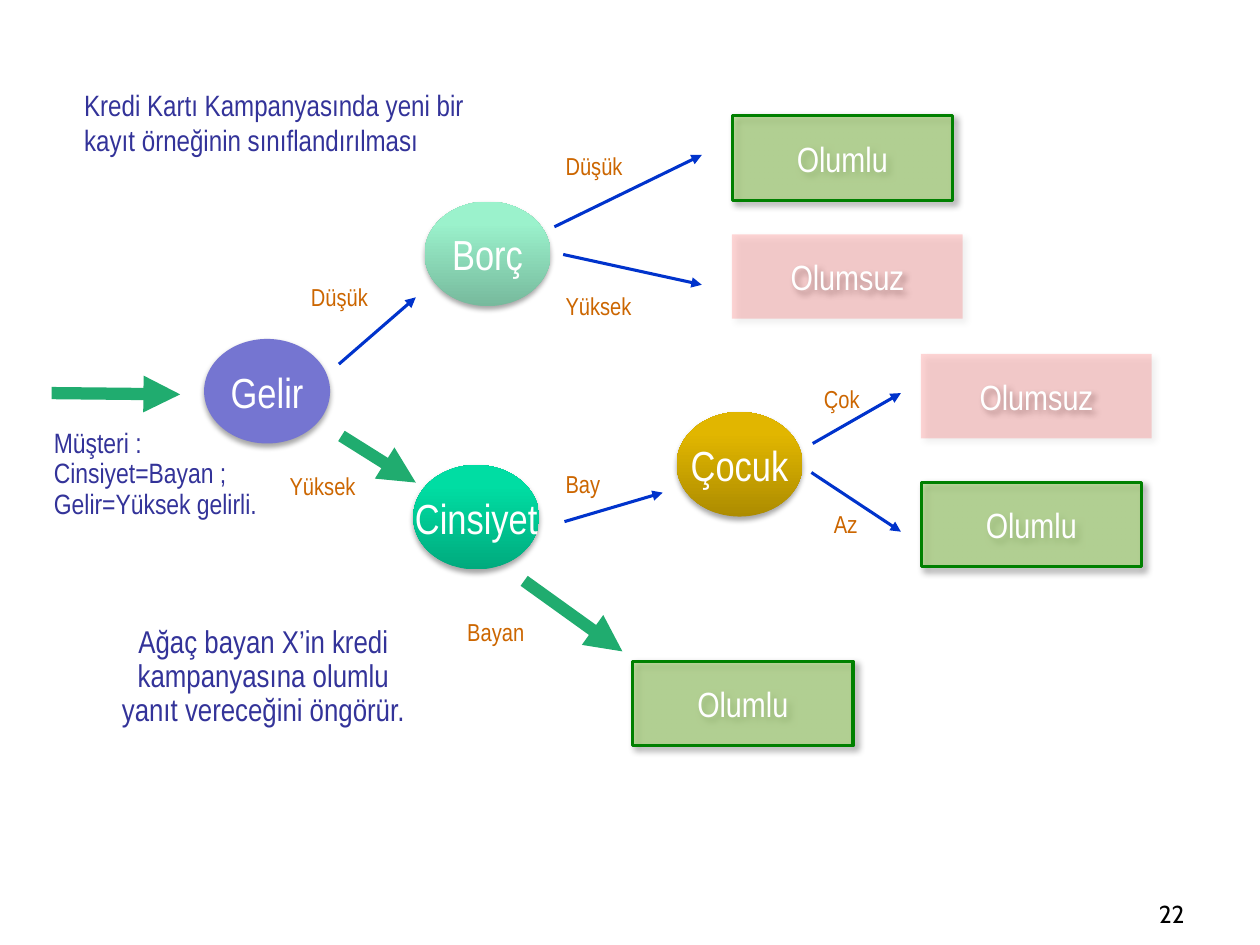
from dataclasses import dataclass

from lxml import etree
from pptx import Presentation
from pptx.dml.color import RGBColor
from pptx.enum import shapes, text
from pptx.oxml.ns import qn
from pptx.util import Inches, Pt


@dataclass(frozen=True)
class Theme:
    """Colours, fonts and type sizes of the slide."""
    font: str = "Arial Narrow"
    num_font: str = "Cabin"
    ink: str = "333399"
    black: str = "000000"
    white: str = "FFFFFF"
    tag: str = "CC6600"
    link: str = "0033CC"
    route: str = "20AC6F"
    good: str = "92D050"
    edge: str = "008000"
    bad: str = "FF0000"
    income: tuple = ("7575D1",)
    debt: tuple = ("77BA9D", "9BF2CC", "9AF4CD")
    gender: tuple = ("00AA7D", "00DDA3", "00DEA4")
    child: tuple = ("AD8C00", "E1B600", "E2B700")
    small: float = 14
    note: float = 16
    title: float = 16.8
    body: float = 18
    leaf: float = 20
    node: float = 24
    thin: float = 1.75
    thick: float = 7


T = Theme()
LEFT, MID, RIGHT = text.PP_ALIGN.LEFT, text.PP_ALIGN.CENTER, text.PP_ALIGN.RIGHT
TOP, CORE, BASE = text.MSO_ANCHOR.TOP, text.MSO_ANCHOR.MIDDLE, text.MSO_ANCHOR.BOTTOM


def add(root, name, **attrs):
    """Append a drawing element and return it."""
    return etree.SubElement(root, qn(f"a:{name}"), {k: str(v) for k, v in attrs.items()})


def write(shape, words, size, color, font=T.font, align=LEFT, anchor=TOP,
          wrap=True, grow=False, space=None, bold=False):
    """Fill a shape with formatted text, one paragraph a line."""
    frame = shape.text_frame
    frame.text = words
    frame.word_wrap = wrap
    frame.vertical_anchor = anchor
    if grow:
        frame.auto_size = text.MSO_AUTO_SIZE.SHAPE_TO_FIT_TEXT
    for para in frame.paragraphs:
        para.alignment = align
        para.line_spacing = space
        para.font.size, para.font.name, para.font.bold = Pt(size), font, bold
        para.font.color.rgb = RGBColor.from_string(color)


def label(slide, words, x, y, w, h, size, color, **style):
    """Add a text box."""
    box = slide.shapes.add_textbox(Inches(x), Inches(y), Inches(w), Inches(h))
    write(box, words, size, color, **style)


def tag(slide, words, x, y, w):
    """Name the value along a branch."""
    label(slide, words, x, y, w, 0.34, T.small, T.tag, wrap=False, grow=True)


def shade(shape, alpha, blur, dist, angle):
    """Give a shape an outer shadow."""
    root = add(shape.element.spPr, "effectLst")
    cast = add(root, "outerShdw", blurRad=Pt(blur), dist=Pt(dist),
               dir=angle * 60000, algn="ctr", rotWithShape=0)
    add(add(cast, "srgbClr", val=T.black), "alpha", val=alpha * 1000)


def node(slide, words, x, y, hues):
    """Add a round test node, plain or graded."""
    oval = slide.shapes.add_shape(shapes.MSO_SHAPE.OVAL, Inches(x), Inches(y),
                                  Inches(1), Inches(0.83))
    if len(hues) == 1:
        oval.fill.solid()
        oval.fill.fore_color.rgb = RGBColor.from_string(hues[0])
    else:
        oval.fill.gradient()
        oval.fill.gradient_angle = 90
        stops = oval.element.spPr.find(".//" + qn("a:gsLst"))
        stops[:] = []
        for place, hue in zip((0, 80, 100), hues):
            add(add(stops, "gs", pos=place * 1000), "srgbClr", val=hue)
    oval.line.fill.background()
    shade(oval, 35, 3.1, 1.8, 90)
    write(oval, words, T.node, T.white, align=MID, anchor=CORE, wrap=False)


def leaf(slide, x, y, good):
    """Add an outcome box."""
    words, wide, hue, alpha = (("Olumlu", 1.75, T.good, 48) if good
                               else ("Olumsuz", 1.83, T.bad, 16))
    box = slide.shapes.add_shape(shapes.MSO_SHAPE.RECTANGLE, Inches(x), Inches(y),
                                 Inches(wide), Inches(0.67))
    box.fill.solid()
    box.fill.fore_color.rgb = RGBColor.from_string(hue)
    add(box.element.spPr.find(".//" + qn("a:srgbClr")), "alpha", val=alpha * 1000)
    if good:
        box.line.color.rgb = RGBColor.from_string(T.edge)
        box.line.width = Pt(T.thin)
    else:
        box.line.fill.background()
    shade(box, 40, 4, 3, 45)
    write(box, words, T.leaf, T.white, align=MID, anchor=CORE, wrap=False)


def arrow(slide, x, y, dx, dy, route=False):
    """Draw an arrow, thick on the route taken."""
    line = slide.shapes.add_connector(shapes.MSO_CONNECTOR.STRAIGHT, Inches(x), Inches(y),
                                      Inches(x + dx), Inches(y + dy))
    line.line.color.rgb = RGBColor.from_string(T.route if route else T.link)
    line.line.width = Pt(T.thick if route else T.thin)
    add(line.line._get_or_add_ln(), "tailEnd", type="triangle")
    add(line.element.spPr, "effectLst")


def income(slide, x, y):
    """Place the root node with its entry and branches."""
    node(slide, "Gelir", x, y, T.income)
    arrow(slide, x - 1.21, y + 0.43, 1.02, 0.01, route=True)
    arrow(slide, x + 1.07, y + 0.2, 0.61, -0.53)
    arrow(slide, x + 1.09, y + 0.77, 0.59, 0.37, route=True)
    tag(slide, "Düşük", x + 0.75, y - 0.5, 0.66)
    tag(slide, "Yüksek", x + 0.58, y + 1, 0.73)


def debt(slide, x, y):
    """Place the debt node with its two outcomes."""
    node(slide, "Borç", x, y, T.debt)
    arrow(slide, x + 1.03, y + 0.2, 1.17, -0.57)
    arrow(slide, x + 1.1, y + 0.42, 1.1, 0.24)
    tag(slide, "Düşük", x + 1.02, y - 0.45, 0.66)
    tag(slide, "Yüksek", x + 1.02, y + 0.66, 0.73)
    leaf(slide, x + 2.44, y - 0.68, True)
    leaf(slide, x + 2.44, y + 0.26, False)


def gender(slide, x, y):
    """Place the gender node with its branches and outcome."""
    node(slide, "Cinsiyet", x, y, T.gender)
    arrow(slide, x + 1.2, y + 0.45, 0.78, -0.23)
    arrow(slide, x + 0.88, y + 0.92, 0.78, 0.56, route=True)
    tag(slide, "Bay", x + 1.11, y - 0.02, 0.48)
    tag(slide, "Bayan", x + 0.33, y + 1.16, 0.66)
    leaf(slide, x + 1.74, y + 1.56, True)


def child(slide, x, y):
    """Place the child node with its two outcomes."""
    node(slide, "Çocuk", x, y, T.child)
    arrow(slide, x + 1.08, y + 0.25, 0.7, -0.4)
    arrow(slide, x + 1.07, y + 0.48, 0.71, 0.47)
    tag(slide, "Çok", x + 1.07, y - 0.27, 0.49)
    tag(slide, "Az", x + 1.15, y + 0.72, 0.39)
    leaf(slide, x + 1.94, y - 0.46, False)
    leaf(slide, x + 1.94, y + 0.56, True)


def notes(slide, x, y):
    """Place the heading, the record, the verdict and the page number."""
    label(slide, "Kredi Kartı Kampanyasında yeni bir kayıt örneğinin sınıflandırılması",
          x + 0.57, y + 0.55, 3.44, 0.75, T.title, T.ink, anchor=BASE)
    label(slide, "Müşteri :\nCinsiyet=Bayan ; Gelir=Yüksek gelirli.",
          x + 0.33, y + 3.36, 2.33, 0.83, T.note, T.ink, grow=True, space=0.9)
    label(slide, "Ağaç bayan X’in kredi kampanyasına olumlu yanıt vereceğini öngörür.",
          x + 0.8, y + 4.92, 2.58, 0.92, T.body, T.ink, align=MID, grow=True, space=0.9)
    label(slide, "22", x + 7.42, y + 6.92, 2.08, 0.5, T.small, T.black,
          font=T.num_font, align=RIGHT, anchor=BASE)


def main():
    """Build and save the slide."""
    deck = Presentation()
    deck.slide_width, deck.slide_height = Inches(10), Inches(7.5)
    slide = deck.slides.add_slide(deck.slide_layouts[6])
    notes(slide, 0, 0)
    income(slide, 1.62, 2.69)
    debt(slide, 3.37, 1.6)
    gender(slide, 3.28, 3.69)
    child(slide, 5.37, 3.27)
    deck.save("out.pptx")


if __name__ == "__main__":
    main()
